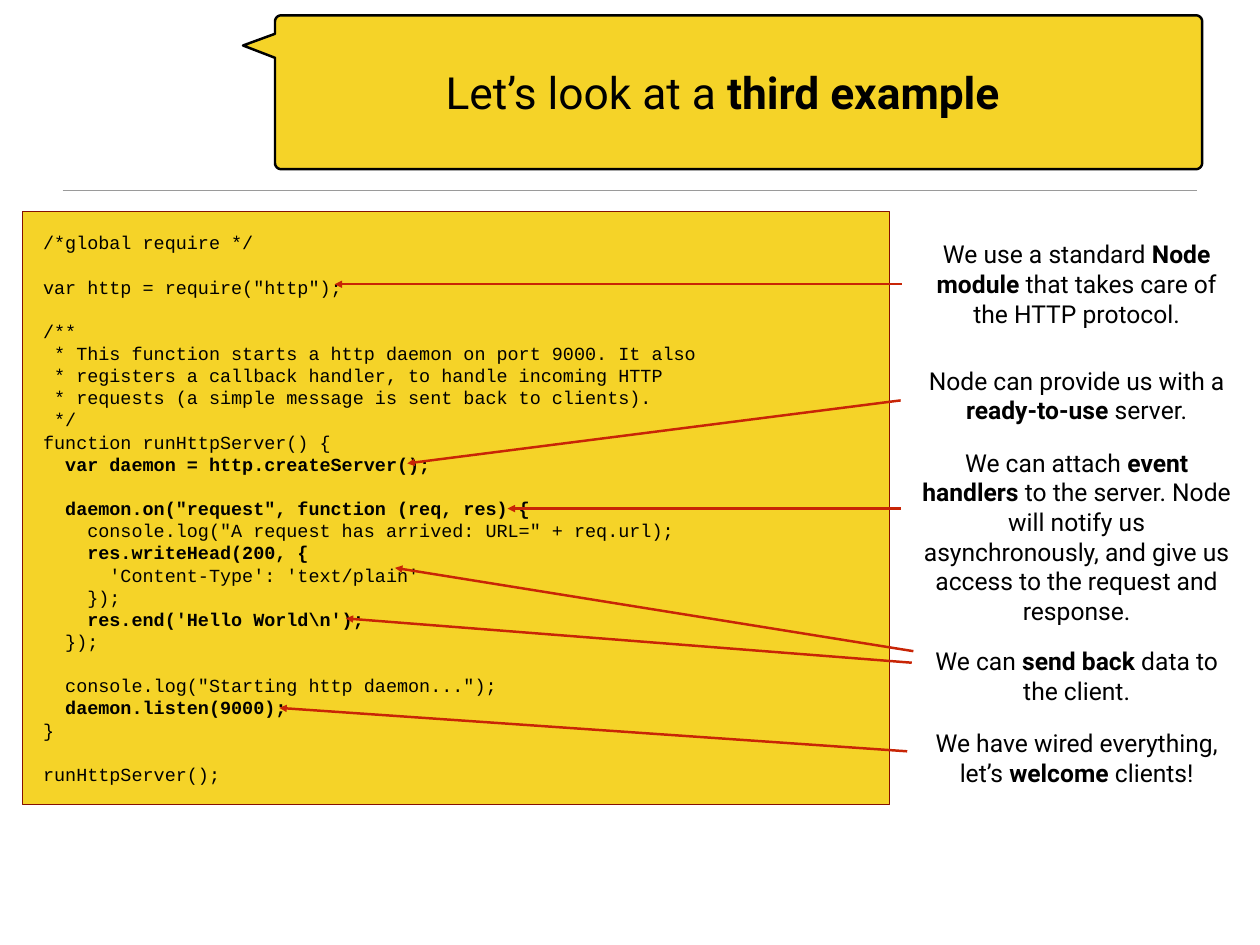
import math

import lxml.etree
import pptx
import pptx.dml.color
import pptx.enum.shapes
import pptx.enum.text
import pptx.oxml.ns
import pptx.util

Pt = pptx.util.Pt
RGB = pptx.dml.color.RGBColor
ALIGN = pptx.enum.text.PP_ALIGN
MIDDLE = pptx.enum.text.MSO_ANCHOR.MIDDLE
STRAIGHT = pptx.enum.shapes.MSO_CONNECTOR.STRAIGHT

YELLOW = RGB(0xF5, 0xD3, 0x28)
BLACK = RGB(0, 0, 0)
MAROON = RGB(0x85, 0x10, 0x01)
RED = RGB(0xC8, 0x25, 0x06)
GREY = RGB(0x9A, 0x9A, 0x9A)

TITLE_FONT = {"name": "Roboto", "size": Pt(36)}
NOTE_FONT = {"name": "Roboto", "size": Pt(20)}
CODE_FONT = {"name": "Courier New", "size": Pt(15)}

CODE = r"""/*global require */

var http = require("http");

/**
 * This function starts a http daemon on port 9000. It also
 * registers a callback handler, to handle incoming HTTP
 * requests (a simple message is sent back to clients).
 */
function runHttpServer() {
  var daemon = http.createServer();

  daemon.on("request", function (req, res) {
    console.log("A request has arrived: URL=" + req.url);
    res.writeHead(200, {
      'Content-Type': 'text/plain'
    });
    res.end('Hello World\n');
  });

  console.log("Starting http daemon...");
  daemon.listen(9000);
}

runHttpServer();"""
BOLD_STARTS = ("var daemon", "daemon.", "res.")
CODE_LEADING = 18
UNITS_PER_POINT = 100

NOTES = [
    (0, 253.5, 81, "We use a standard |Node module| that takes care of the HTTP protocol."),
    (103, 284, 56, "Node can provide us with a |ready-to-use| server."),
    (181, 265, 130, "We can attach |event handlers| to the server. Node will notify us "
                    "asynchronously, and give us access to the request and response."),
    (331, 253.5, 56, "We can |send back| data to the client."),
    (397.5, 253.5, 56, "We have wired everything, let’s |welcome| clients!"),
]

ARROWS = [
    (715, 59, 254, 59),
    (714, 153.4, 313, 204.6),
    (714, 241.3, 394.5, 241.3),
    (724.3, 357.2, 303, 289.5),
    (723, 366.6, 263, 330.6),
    (719.3, 438.6, 209, 403.3),
]


def set_all(target, values):
    for key, value in values.items():
        setattr(target, key, value)


def write(paragraph, pieces, font):
    for text, bold in pieces:
        run = paragraph.add_run()
        run.text = text
        set_all(run.font, {**font, "bold": bold})
        run.font.color.rgb = BLACK


def write_centred(frame, marked, font):
    paragraph = frame.paragraphs[0]
    paragraph.alignment = ALIGN.CENTER
    pieces = [(text, i % 2 == 1) for i, text in enumerate(marked.split("|")) if text]
    write(paragraph, pieces, font)


def set_frame(frame, inset):
    sides = ("margin_left", "margin_top", "margin_right", "margin_bottom")
    set_all(frame, {"word_wrap": True, "vertical_anchor": MIDDLE,
                    **{side: Pt(inset) for side in sides}})


def paint(shape, outline, width):
    shape.shadow.inherit = False
    shape.fill.solid()
    shape.fill.fore_color.rgb = YELLOW
    shape.line.color.rgb = outline
    shape.line.width = Pt(width)


def add_line(slide, ends, color, width):
    line = slide.shapes.add_connector(STRAIGHT, *(Pt(v) for v in ends))
    line.line.color.rgb = color
    line.line.width = Pt(width)
    lxml.etree.SubElement(line._element.spPr, pptx.oxml.ns.qn("a:effectLst"))
    return line


def add_title(slide, box):
    left, top, width, height = box
    right, bottom = left + width, top + height
    body, radius = left + 26, 5

    def corner(x, y, start):
        angles = [math.radians(start + step * 15) for step in range(7)]
        return [(x + radius * math.cos(a), y + radius * math.sin(a)) for a in angles]

    outline = [
        *corner(right - radius, top + radius, 270),
        *corner(right - radius, bottom - radius, 0),
        *corner(body + radius, bottom - radius, 90),
        (body, top + 34.5), (left, top + 24.5), (body, top + 15),
        *corner(body + radius, top + radius, 180),
    ]
    points = [(x * UNITS_PER_POINT, y * UNITS_PER_POINT) for x, y in outline]
    builder = slide.shapes.build_freeform(*points[0], scale=Pt(1) / UNITS_PER_POINT)
    builder.add_line_segments(points[1:], close=True)
    callout = builder.convert_to_shape()
    paint(callout, BLACK, 2)
    set_frame(callout.text_frame, 15)
    write_centred(callout.text_frame, "Let’s look at a |third example", TITLE_FONT)


def add_code(slide, box):
    listing = slide.shapes.add_shape(pptx.enum.shapes.MSO_SHAPE.RECTANGLE,
                                     *(Pt(v) for v in box))
    paint(listing, MAROON, 1)
    frame = listing.text_frame
    set_frame(frame, 17)
    gap = 0
    for number, code_line in enumerate(CODE.split("\n")):
        if not code_line:
            gap = CODE_LEADING
            continue
        paragraph = frame.add_paragraph() if number else frame.paragraphs[0]
        set_all(paragraph, {"alignment": ALIGN.LEFT, "line_spacing": Pt(CODE_LEADING),
                            "space_before": Pt(gap)})
        gap = 0
        write(paragraph, [(code_line, code_line.strip().startswith(BOLD_STARTS))], CODE_FONT)


def add_notes(slide, box):
    left, top, column, _ = box
    for offset, width, height, text in NOTES:
        note = slide.shapes.add_textbox(Pt(left + (column - width) / 2), Pt(top + offset),
                                        Pt(width), Pt(height))
        set_frame(note.text_frame, 4)
        write_centred(note.text_frame, text, NOTE_FONT)


def add_arrows(slide, box):
    left, top = box[:2]
    for x1, y1, x2, y2 in ARROWS:
        ends = (left + x1, top + y1, left + x2, top + y2)
        arrow = add_line(slide, ends, RED, 2)
        stroke = arrow._element.spPr.find(pptx.oxml.ns.qn("a:ln"))
        lxml.etree.SubElement(stroke, pptx.oxml.ns.qn("a:tailEnd"), type="triangle")


def main():
    deck = pptx.Presentation()
    set_all(deck, {"slide_width": Pt(1024), "slide_height": Pt(768)})
    slide = deck.slides.add_slide(deck.slide_layouts[6])
    code_box = (18, 172, 705, 482)
    add_line(slide, (51, 155, 973, 155), GREY, 1)
    add_title(slide, (197.5, 12.5, 779.5, 125))
    add_code(slide, code_box)
    add_notes(slide, (733, 190, 284, 454))
    add_arrows(slide, code_box)
    deck.save("out.pptx")


if __name__ == "__main__":
    main()
